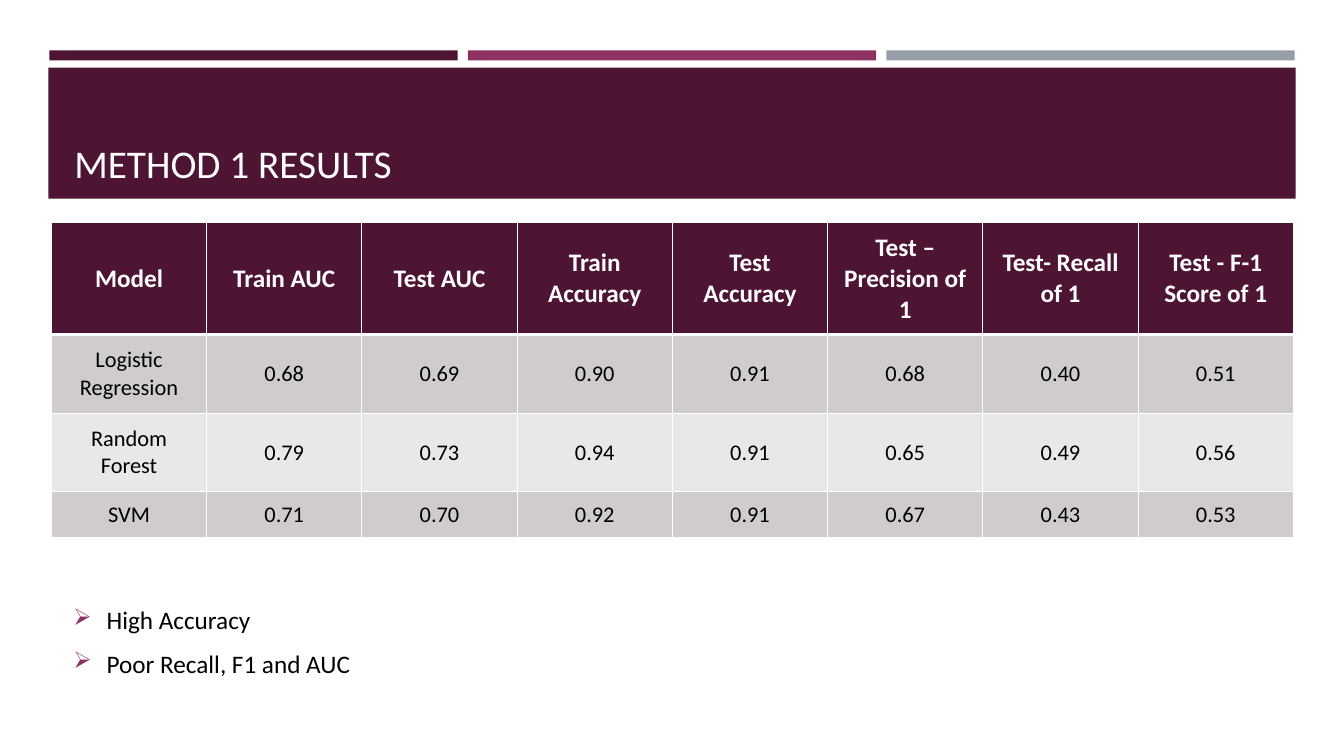
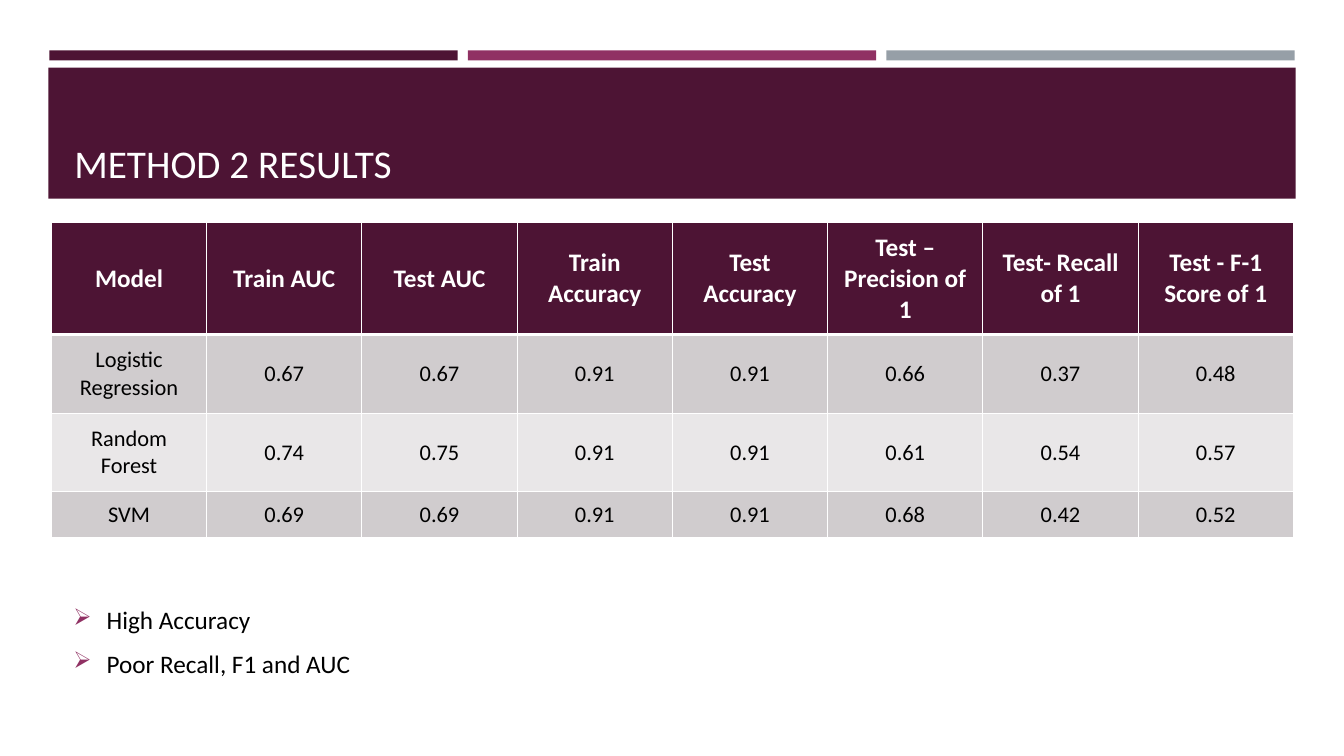
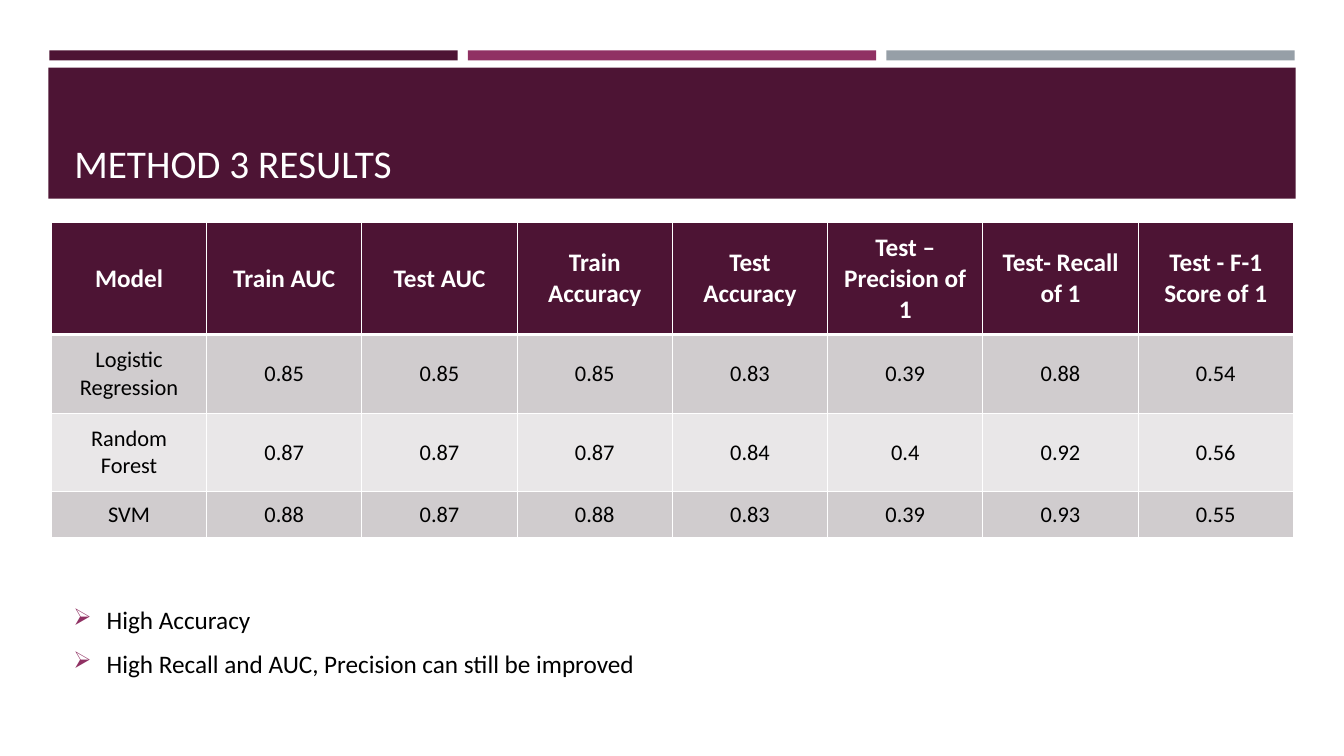
import pptx
import pptx.dml.color
import pptx.enum.shapes
import pptx.enum.text
import pptx.oxml.ns
import pptx.util
from lxml import etree

PX = 9144
FONT = "Calibri"
COLORS = {
    "plum": "4D1434",
    "berry": "903163",
    "slate": "969FA7",
    "white": "FFFFFF",
    "black": "000000",
    "row_dark": "D0CCCE",
    "row_light": "E9E7E8",
}
HEADINGS = [
    "Model", "Train AUC", "Test AUC", "Train Accuracy", "Test Accuracy",
    "Test – Precision of 1", "Test- Recall of 1", "Test - F-1 Score of 1",
]
MODELS = ["Logistic Regression", "Random Forest", "SVM"]
ROW_HEIGHTS = [111, 78, 78, 45]
RESULTS = [
    {
        "title": "METHOD 1 RESULTS",
        "scores": [
            "0.68 0.69 0.90 0.91 0.68 0.40 0.51",
            "0.79 0.73 0.94 0.91 0.65 0.49 0.56",
            "0.71 0.70 0.92 0.91 0.67 0.43 0.53",
        ],
        "findings": ["High Accuracy", "Poor Recall, F1 and AUC"],
    },
    {
        "title": "METHOD 2 RESULTS",
        "scores": [
            "0.67 0.67 0.91 0.91 0.66 0.37 0.48",
            "0.74 0.75 0.91 0.91 0.61 0.54 0.57",
            "0.69 0.69 0.91 0.91 0.68 0.42 0.52",
        ],
        "findings": ["High Accuracy", "Poor Recall, F1 and AUC"],
    },
    {
        "title": "METHOD 3 RESULTS",
        "scores": [
            "0.85 0.85 0.85 0.83 0.39 0.88 0.54",
            "0.87 0.87 0.87 0.84 0.4 0.92 0.56",
            "0.88 0.87 0.88 0.83 0.39 0.93 0.55",
        ],
        "findings": ["High Accuracy", "High Recall and AUC, Precision can still be improved"],
    },
]


def emu(*lengths):
    """Turn px lengths into EMU."""
    return [pptx.util.Emu(length * PX) for length in lengths]


def rgb(name):
    """Return the named palette colour."""
    return pptx.dml.color.RGBColor.from_string(COLORS[name])


def add_element(parent, tag, **attributes):
    """Append a DrawingML element to the parent."""
    return etree.SubElement(parent, pptx.oxml.ns.qn(tag), attributes)


def add_color(parent, name):
    """Append a palette colour element to the parent."""
    add_element(parent, "a:srgbClr", val=COLORS[name])


def style_para(para, size, color, bold=False):
    """Set the font of a whole paragraph."""
    para.font.name = FONT
    para.font.size = pptx.util.Pt(size)
    para.font.bold = bold
    para.font.color.rgb = rgb(color)


def add_band(page, box, color):
    """Draw a plain filled rectangle."""
    band = page.shapes.add_shape(pptx.enum.shapes.MSO_SHAPE.RECTANGLE, *emu(*box))
    band.shadow.inherit = False
    band.fill.solid()
    band.fill.fore_color.rgb = rgb(color)
    band.line.fill.background()


def add_text_frame(page, box, anchor):
    """Add a wrapping text box and return its text frame."""
    frame = page.shapes.add_textbox(*emu(*box)).text_frame
    frame.word_wrap = True
    frame.vertical_anchor = anchor
    return frame


def add_header(page, box, title):
    """Draw three accent strips above the title band."""
    left, top, width, height = box
    gap, strip_height, band_top = 10, 10, 17
    strip_width = (width - 2 * gap) // 3
    for index, color in enumerate(["plum", "berry", "slate"]):
        strip_left = left + 1 + index * (strip_width + gap)
        add_band(page, (strip_left, top, strip_width, strip_height), color)
    add_band(page, (left, top + band_top, width, height - band_top), "plum")
    title_box = (left + 16, top + 27, width - 31, height - 36)
    frame = add_text_frame(page, title_box, pptx.enum.text.MSO_ANCHOR.BOTTOM)
    frame.margin_bottom = emu(3)[0]
    frame.text = title
    style_para(frame.paragraphs[0], 28, "white")


def set_borders(cell, bottom_width):
    """Give a cell white borders with its own bottom width in points."""
    properties = cell._tc.get_or_add_tcPr()
    for side, width in [("L", 1), ("R", 1), ("T", 1), ("B", bottom_width)]:
        line = add_element(properties, f"a:ln{side}", w=str(pptx.util.Pt(width)))
        add_color(add_element(line, "a:solidFill"), "white")


def add_score_table(page, box, scores):
    """Add the table of model scores."""
    rows = [HEADINGS] + [[model] + line.split() for model, line in zip(MODELS, scores)]
    table = page.shapes.add_table(len(rows), len(HEADINGS), *emu(*box)).table
    for column in table.columns:
        column.width = emu(box[2] // len(HEADINGS))[0]
    for row_index, texts in enumerate(rows):
        table.rows[row_index].height = emu(ROW_HEIGHTS[row_index])[0]
        heading = row_index == 0
        fill = "plum" if heading else ("row_light", "row_dark")[row_index % 2]
        for column_index, text in enumerate(texts):
            cell = table.cell(row_index, column_index)
            cell.text = text
            cell.vertical_anchor = pptx.enum.text.MSO_ANCHOR.MIDDLE
            set_borders(cell, 3 if heading else 1)
            cell.fill.solid()
            cell.fill.fore_color.rgb = rgb(fill)
            para = cell.text_frame.paragraphs[0]
            para.alignment = pptx.enum.text.PP_ALIGN.CENTER
            style_para(para, 18 if heading else 16, "white" if heading else "black", heading)


def add_bullet(para):
    """Give a paragraph an arrowhead bullet with a hanging indent."""
    properties = para._p.get_or_add_pPr()
    indent = 33 * PX
    properties.set("marL", str(indent))
    properties.set("indent", str(-indent))
    add_color(add_element(properties, "a:buClr"), "berry")
    add_element(properties, "a:buSzPct", val="92000")
    add_element(properties, "a:buChar", char="➢")


def add_findings(page, box, findings):
    """Add the bulleted findings."""
    frame = add_text_frame(page, box, pptx.enum.text.MSO_ANCHOR.MIDDLE)
    frame.text = "\n".join(findings)
    for para in frame.paragraphs:
        add_bullet(para)
        para.space_before = pptx.util.Pt(3.6)
        para.space_after = pptx.util.Pt(6)
        style_para(para, 18, "black")


def add_result_page(deck, result):
    """Add one slide with the results of a method."""
    page = deck.slides.add_slide(deck.slide_layouts[6])
    add_header(page, (48, 50, 1237, 147), result["title"])
    add_score_table(page, (51, 221, 1232, sum(ROW_HEIGHTS)), result["scores"])
    add_findings(page, (63, 563, 1206, 147), result["findings"])


def main():
    """Build and save the deck."""
    deck = pptx.Presentation()
    deck.slide_width, deck.slide_height = emu(1333, 750)
    for result in RESULTS:
        add_result_page(deck, result)
    deck.save("out.pptx")


if __name__ == "__main__":
    main()
